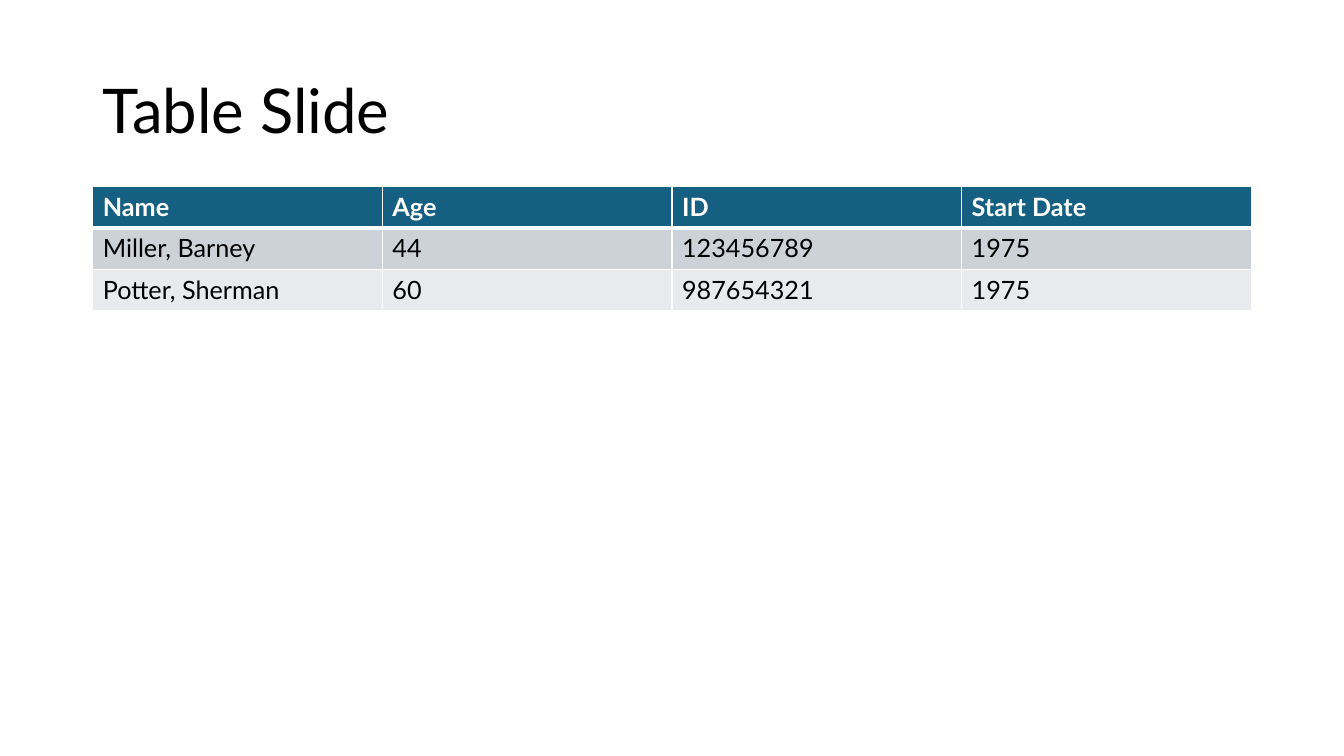
import dataclasses

import lxml.etree
import pptx
import pptx.dml.color
import pptx.enum.text
import pptx.oxml.ns
import pptx.presentation
import pptx.slide
import pptx.table
import pptx.text.text
import pptx.util

RGBColor = pptx.dml.color.RGBColor
WHITE = RGBColor(0xFF, 0xFF, 0xFF)
BLACK = RGBColor(0x00, 0x00, 0x00)
HEADER_BLUE = RGBColor(0x15, 0x60, 0x82)
BAND_DARK = RGBColor(0xCC, 0xD2, 0xD8)
BAND_LIGHT = RGBColor(0xE8, 0xEA, 0xED)

FONT = "Lato"
SLIDE_W = pptx.util.Inches(13.33)
SLIDE_H = pptx.util.Inches(7.5)

# Grid: equal side margins, four equal columns
MARGIN = pptx.util.Inches(0.92)
COLUMNS = 4
COL_W = (SLIDE_W - 2 * MARGIN) // COLUMNS
ROW_H = pptx.util.Inches(0.41)
TITLE_TOP = pptx.util.Inches(0.4)
TITLE_H = pptx.util.Inches(1.45)
TABLE_TOP = TITLE_TOP + TITLE_H


@dataclasses.dataclass(frozen=True)
class TextStyle:
    size: int
    color: RGBColor
    bold: bool = False


@dataclasses.dataclass(frozen=True)
class TableRow:
    values: tuple[str, ...]
    fill: RGBColor
    style: TextStyle
    top_rule: int = 1
    bottom_rule: int = 1


TITLE_STYLE = TextStyle(44, BLACK)
HEADER_STYLE = TextStyle(18, WHITE, bold=True)
BODY_STYLE = TextStyle(18, BLACK)

ROWS = (
    TableRow(("Name", "Age", "ID", "Start Date"), HEADER_BLUE, HEADER_STYLE, bottom_rule=3),
    TableRow(("Miller, Barney", "44", "123456789", "1975"), BAND_DARK, BODY_STYLE, top_rule=3),
    TableRow(("Potter, Sherman", "60", "987654321", "1975"), BAND_LIGHT, BODY_STYLE),
)


def write(tf: pptx.text.text.TextFrame, text: str, style: TextStyle) -> None:
    """Set left-aligned text and format its run."""
    tf.text = text
    p = tf.paragraphs[0]
    p.alignment = pptx.enum.text.PP_ALIGN.LEFT
    font = p.runs[0].font
    font.name = FONT
    font.size = pptx.util.Pt(style.size)
    font.bold = style.bold
    font.color.rgb = style.color


def set_borders(cell: pptx.table._Cell, row: TableRow) -> None:
    """Put white rules around a cell, ahead of its fill."""
    qn = pptx.oxml.ns.qn
    tc_pr = cell._tc.get_or_add_tcPr()
    widths = {"lnL": 1, "lnR": 1, "lnT": row.top_rule, "lnB": row.bottom_rule}
    for i, (side, width) in enumerate(widths.items()):
        ln = lxml.etree.Element(qn(f"a:{side}"), w=str(pptx.util.Pt(width)))
        fill = lxml.etree.SubElement(ln, qn("a:solidFill"))
        lxml.etree.SubElement(fill, qn("a:srgbClr"), val=str(WHITE))
        tc_pr.insert(i, ln)


def add_title(s: pptx.slide.Slide, text: str) -> None:
    sp = s.shapes.title
    sp.left, sp.top = MARGIN, TITLE_TOP
    sp.width, sp.height = COLUMNS * COL_W, TITLE_H
    tf = sp.text_frame
    write(tf, text, TITLE_STYLE)
    tf.word_wrap = True
    tf.auto_size = pptx.enum.text.MSO_AUTO_SIZE.NONE
    tf.vertical_anchor = pptx.enum.text.MSO_ANCHOR.MIDDLE
    tf.paragraphs[0].line_spacing = 0.9


def add_staff_table(s: pptx.slide.Slide, rows: tuple[TableRow, ...]) -> None:
    table = s.shapes.add_table(
        len(rows), COLUMNS, MARGIN, TABLE_TOP, COLUMNS * COL_W, len(rows) * ROW_H
    ).table
    for r, row in enumerate(rows):
        for c, value in enumerate(row.values):
            cell = table.cell(r, c)
            write(cell.text_frame, value, row.style)
            cell.fill.solid()
            cell.fill.fore_color.rgb = row.fill
            set_borders(cell, row)


def main() -> None:
    prs = pptx.Presentation()
    prs.slide_width, prs.slide_height = SLIDE_W, SLIDE_H
    s = prs.slides.add_slide(prs.slide_layouts.get_by_name("Title Only"))
    add_title(s, "Table Slide")
    add_staff_table(s, ROWS)
    prs.save("out.pptx")


if __name__ == "__main__":
    main()
